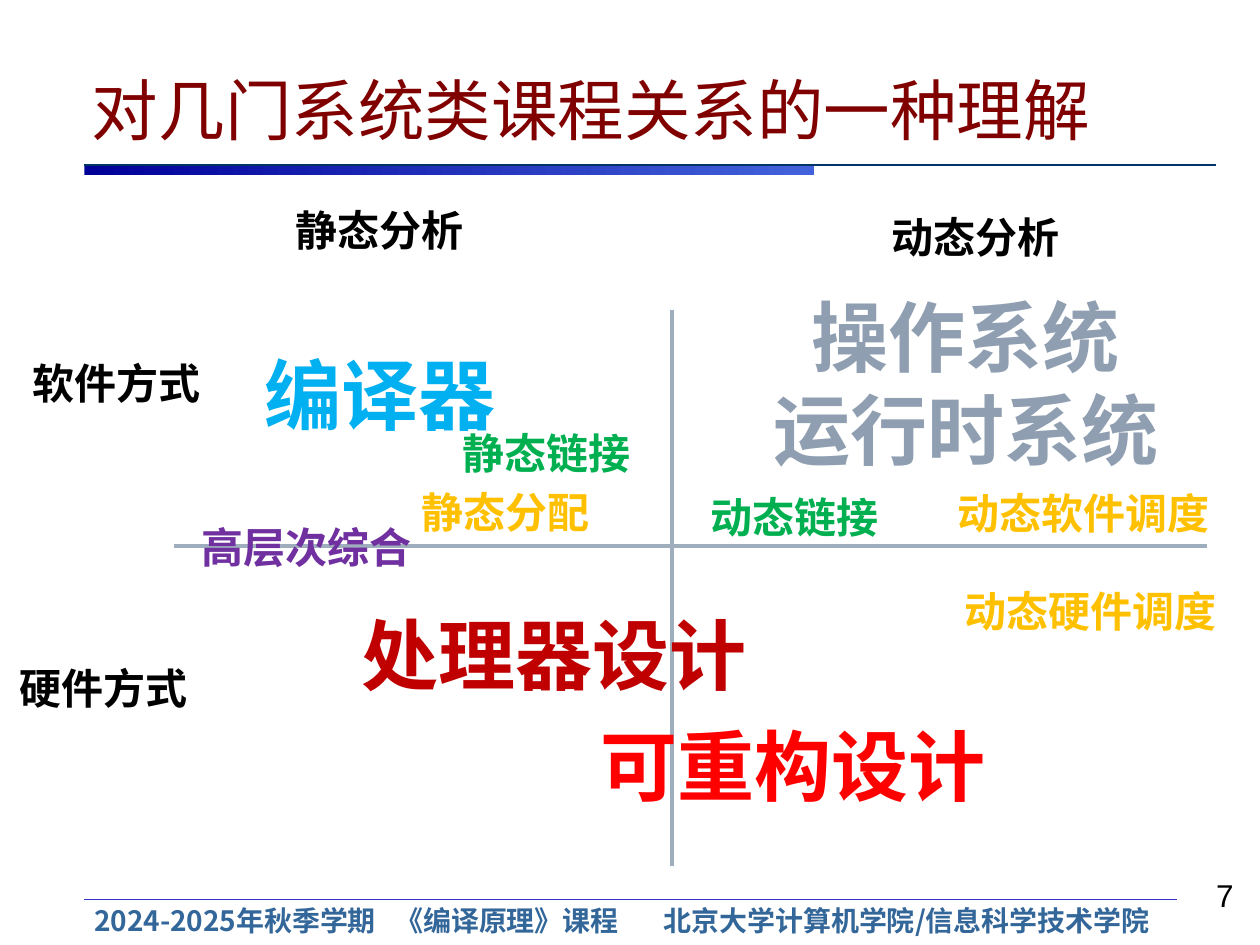
from pptx import Presentation
from pptx import util as u
from pptx.dml.color import RGBColor
from pptx.enum import shapes, text
from pptx.oxml.ns import qn
from lxml import etree

CJK = "Noto Sans CJK SC"
LABEL, TOPIC = 24, 44
BLACK, GREEN, AMBER = "000000", "00B050", "FFC000"
LEFT, CENTER, RIGHT = text.PP_ALIGN.LEFT, text.PP_ALIGN.CENTER, text.PP_ALIGN.RIGHT

# words, x, y, size, colour; x and y run from the corner of the map
TERMS = [
    ("静态分析", 2.25, 0.07, LABEL, BLACK),
    ("动态分析", 6.98, 0.13, LABEL, BLACK),
    ("软件方式", 0.16, 1.29, LABEL, BLACK),
    ("硬件方式", 0.06, 3.71, LABEL, BLACK),
    ("编译器", 2.00, 1.21, TOPIC, "00B0F0"),
    ("操作系统\n运行时系统", 6.03, 0.75, TOPIC, "8F9FB1"),
    ("可重构设计", 4.67, 4.15, TOPIC, "FF0000"),
    ("处理器设计", 2.77, 3.27, TOPIC, "C00000"),
    ("静态链接", 3.57, 1.84, LABEL, GREEN),
    ("动态链接", 5.54, 2.35, LABEL, GREEN),
    ("高层次综合", 1.50, 2.59, LABEL, "7030A0"),
    ("静态分配", 3.25, 2.31, LABEL, AMBER),
    ("动态软件调度", 7.50, 2.32, LABEL, AMBER),
    ("动态硬件调度", 7.56, 3.10, LABEL, AMBER),
]


def rgb(code):
    return RGBColor.from_string(code)


def style(frame, align, size, color, bold=True, name=CJK):
    """Format every paragraph, with the CJK face for East Asian letters."""
    look = {"size": u.Pt(size), "bold": bold, "name": name}
    for para in frame.paragraphs:
        para.alignment = align
        for run in para.runs:
            for key, value in look.items():
                setattr(run.font, key, value)
            run.font.color.rgb = rgb(color)
            face = etree.SubElement(run.font._element, qn("a:ea"))
            face.set("typeface", CJK)


def add_text(slide, words, x, y, w, h, wrap=False, anchor=text.MSO_ANCHOR.TOP):
    box = slide.shapes.add_textbox(*map(u.Inches, (x, y, w, h)))
    frame = box.text_frame
    frame.text = words
    frame.word_wrap = wrap
    frame.vertical_anchor = anchor
    return frame


def add_line(slide, x1, y1, x2, y2, color, width):
    line = slide.shapes.add_connector(
        shapes.MSO_CONNECTOR.STRAIGHT, *map(u.Inches, (x1, y1, x2, y2)))
    line.line.color.rgb = rgb(color)
    line.line.width = u.Pt(width)
    etree.SubElement(line._element.spPr, qn("a:effectLst"))


def add_head(slide, x, y, w):
    """Title over a gradient bar and a thin rule."""
    title = slide.shapes.title
    title.left, title.top, title.width, title.height = map(
        u.Inches, (x - 0.04, y, 8.23, 0.9))
    title.text = "对几门系统类课程关系的一种理解"
    title.text_frame.vertical_anchor = text.MSO_ANCHOR.BOTTOM
    title.text_frame.auto_size = text.MSO_AUTO_SIZE.NONE
    style(title.text_frame, LEFT, 38, "800000", False, "Arial")

    rule = y + 0.98
    bar = slide.shapes.add_shape(
        shapes.MSO_SHAPE.RECTANGLE, *map(u.Inches, (x, rule, 5.79, 0.08)))
    bar.shadow.inherit = False
    bar.line.fill.background()
    bar.fill.gradient()
    bar.fill.gradient_angle = 0
    for stop, color in zip(bar.fill.gradient_stops, ("000099", "4262DB")):
        stop.color.rgb = rgb(color)
    add_line(slide, x, rule, x + w, rule, "003366", 0.75)


def add_map(slide, x, y):
    """Two crossing axes and the terms placed around them."""
    add_line(slide, x + 1.38, y + 2.83, x + 9.58, y + 2.83, "9FAEBD", 2.25)
    add_line(slide, x + 5.33, y + 0.96, x + 5.33, y + 5.37, "9FAEBD", 2.25)
    for words, dx, dy, size, color in TERMS:
        rows = words.split("\n")
        wide = max(map(len, rows)) * size / 72 + 0.22
        high = len(rows) * size / 59 + 0.1
        frame = add_text(slide, words, x + dx, y + dy, wide, high)
        style(frame, CENTER if len(rows) > 1 else LEFT, size, color)


def add_foot(slide, x, y, w):
    """Rule, course line and page number."""
    add_line(slide, x, y, x + w, y, "3333CC", 0.25)
    frame = add_text(slide, "2024-2025年秋季学期\t《编译原理》课程\t北京大学计算机学院/信息科学技术学院",
                     x - 0.02, y - 0.03, w + 0.2, 0.39, True, text.MSO_ANCHOR.MIDDLE)
    props = frame.paragraphs[0]._p.get_or_add_pPr()
    tabs = etree.SubElement(props, qn("a:tabLst"))
    for stop in (2.39, 4.52):
        etree.SubElement(tabs, qn("a:tab"), pos=str(u.Inches(stop)), algn="l")
    style(frame, LEFT, 16, "336699")
    page = add_text(slide, "7", x + 7.72, y - 0.24, 1.5, 0.4, True,
                    text.MSO_ANCHOR.BOTTOM)
    style(page, RIGHT, 18, BLACK, False, "Arial")


def main():
    deck = Presentation()
    deck.slide_width, deck.slide_height = u.Inches(10), u.Inches(7.5)
    slide = deck.slides.add_slide(deck.slide_layouts[5])
    add_head(slide, 0.67, 0.33, 8.98)
    add_map(slide, 0, 1.5)
    add_foot(slide, 0.67, 7.14, 8.67)
    deck.save("out.pptx")


if __name__ == "__main__":
    main()
